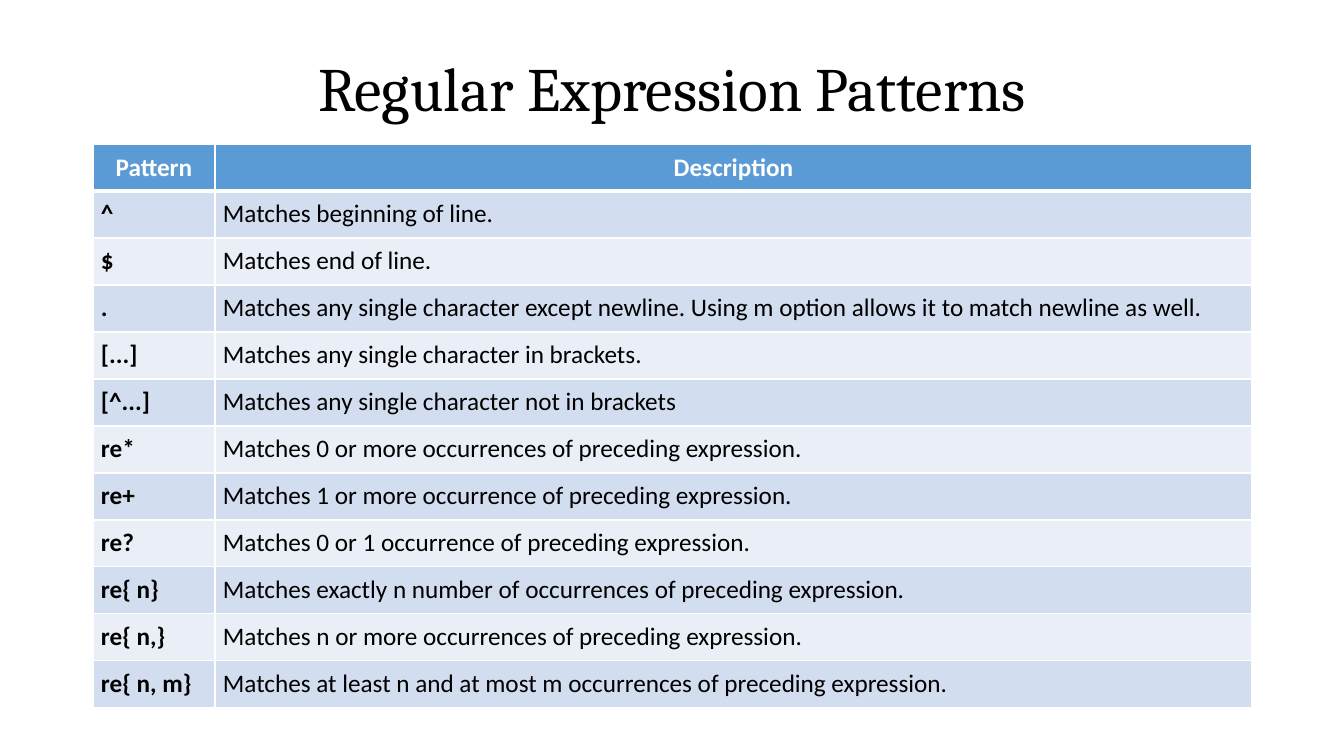
"""Builds a slide with a table of regular expression patterns."""
from lxml.etree import SubElement
from pptx import Presentation
from pptx.dml.color import RGBColor
from pptx.enum.text import MSO_ANCHOR, PP_ALIGN
from pptx.oxml.ns import qn
from pptx.util import Emu, Pt

TITLE = "Regular Expression Patterns"
ROWS = [
    ("Pattern", "Description"),
    ("^", "Matches beginning of line."),
    ("$", "Matches end of line."),
    (".", "Matches any single character except newline. "
          "Using m option allows it to match newline as well."),
    ("[...]", "Matches any single character in brackets."),
    ("[^...]", "Matches any single character not in brackets"),
    ("re*", "Matches 0 or more occurrences of preceding expression."),
    ("re+", "Matches 1 or more occurrence of preceding expression."),
    ("re?", "Matches 0 or 1 occurrence of preceding expression."),
    ("re{ n}", "Matches exactly n number of occurrences of preceding expression."),
    ("re{ n,}", "Matches n or more occurrences of preceding expression."),
    ("re{ n, m}", "Matches at least n and at most m occurrences of preceding expression."),
]
HEAD, BANDS = "5B9BD5", ("EAEFF7", "D2DEEF")
WHITE, BLACK = "FFFFFF", "000000"
LEFT, TOP, HIGH, PAD = 93, 144, 47, 8
WIDTHS = (122, 1037)


def px(n):
    return Emu(round(n * 914400 / 100.8))


def color(code):
    return RGBColor.from_string(code)


def style(para, name, size, code, bold, align):
    para.alignment = align
    font = para.font
    font.name, font.size, font.bold = name, Pt(size), bold
    font.color.rgb = color(code)


def edge(cell, sides):
    props = cell._tc.get_or_add_tcPr()
    for spot, (side, width) in enumerate(sides.items()):
        line = SubElement(props, qn(f"a:ln{side}"), w=str(Pt(width)))
        fill = SubElement(line, qn("a:solidFill"))
        SubElement(fill, qn("a:srgbClr"), val=WHITE)
        props.insert(spot, line)


def add_title(slide):
    box = slide.shapes.add_textbox(px(LEFT), px(40), px(sum(WIDTHS)), px(104))
    frame = box.text_frame
    frame.word_wrap = True
    frame.vertical_anchor = MSO_ANCHOR.MIDDLE
    para = frame.paragraphs[0]
    para.text = TITLE
    para.line_spacing = 0.9
    style(para, "Cambria", 44, BLACK, False, PP_ALIGN.CENTER)


def add_grid(slide):
    table = slide.shapes.add_table(
        len(ROWS), len(WIDTHS), px(LEFT), px(TOP),
        px(sum(WIDTHS)), px(HIGH * len(ROWS))).table
    for col, width in zip(table.columns, WIDTHS):
        col.width = px(width)
    for r, row in enumerate(ROWS):
        table.rows[r].height = px(HIGH)
        for c, text in enumerate(row):
            cell = table.cell(r, c)
            cell.text = text
            cell.margin_left = cell.margin_right = px(PAD)
            cell.margin_top = cell.margin_bottom = px(PAD)
            cell.fill.solid()
            cell.fill.fore_color.rgb = color(BANDS[r % 2] if r else HEAD)
            edge(cell, {"L": 1, "R": 1, "T": 3 if r == 1 else 1, "B": 1 if r else 3})
            style(cell.text_frame.paragraphs[0], "Calibri", 18,
                  BLACK if r else WHITE, r == 0 or c == 0,
                  PP_ALIGN.JUSTIFY if r else PP_ALIGN.CENTER)


def main():
    deck = Presentation()
    deck.slide_width, deck.slide_height = px(1344), px(756)
    slide = deck.slides.add_slide(deck.slide_layouts[6])
    add_title(slide)
    add_grid(slide)
    deck.save("out.pptx")


if __name__ == "__main__":
    main()
